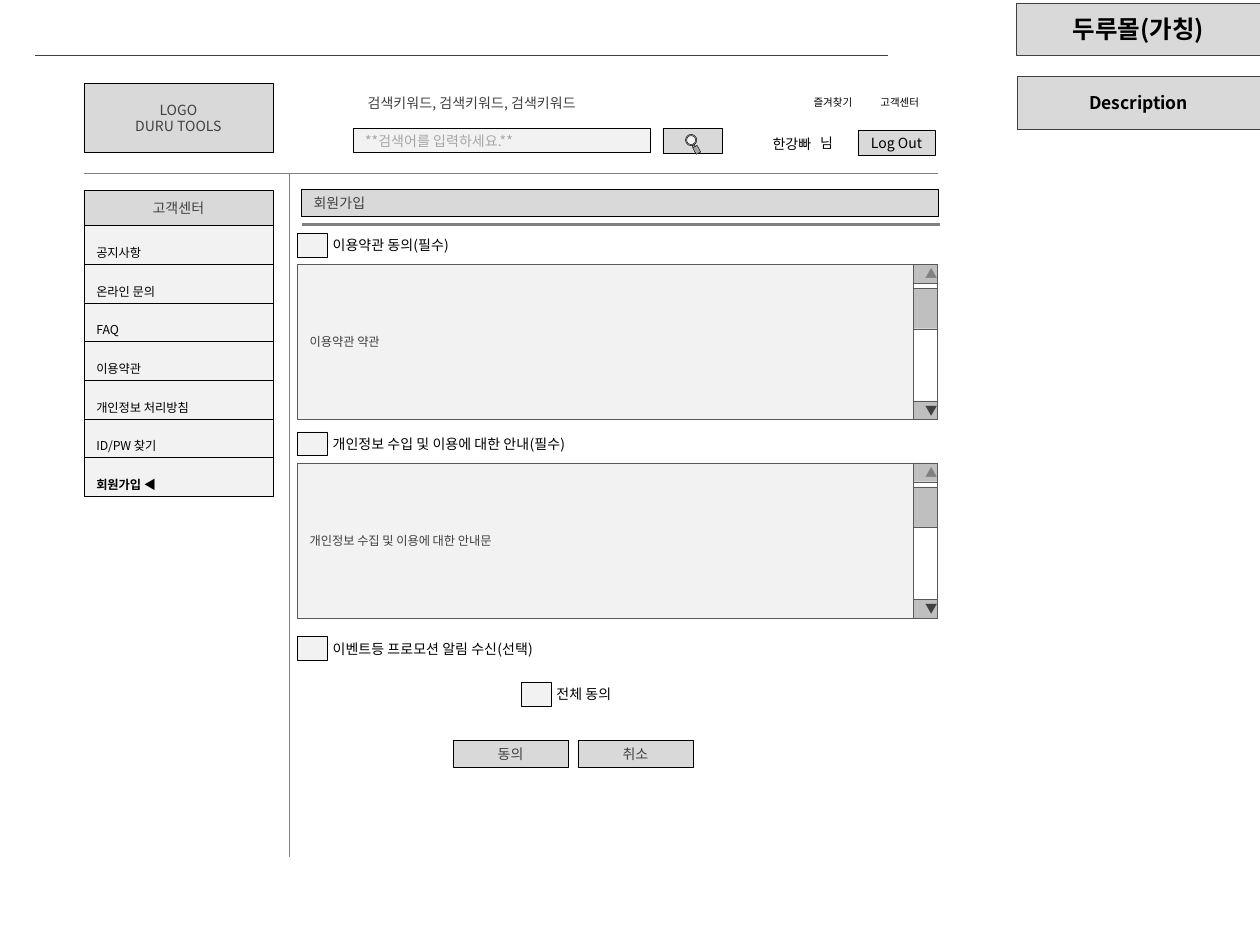
from dataclasses import dataclass
from lxml.etree import SubElement
from pptx import Presentation
from pptx.dml.color import RGBColor
from pptx.enum.shapes import MSO_CONNECTOR, MSO_SHAPE
from pptx.enum.text import MSO_ANCHOR, MSO_AUTO_SIZE, PP_ALIGN
from pptx.oxml.ns import qn
from pptx.util import Pt


@dataclass(frozen=True)
class Theme:
    font: str = "Noto Sans CJK KR"
    black: str = "000000"
    dark: str = "404040"
    edge: str = "595959"
    gray: str = "808080"
    hint: str = "A6A6A6"
    bar: str = "BFBFBF"
    button: str = "D9D9D9"
    panel: str = "F2F2F2"
    white: str = "FFFFFF"
    banner: int = 14
    heading: int = 10
    body: int = 8
    small: int = 7
    tiny: int = 6
    hairline: float = 0.25


@dataclass(frozen=True)
class Box:
    left: float
    top: float
    width: float
    height: float

    def area(self, left, top, width, height):
        return Box(self.left + left, self.top + top, width, height)

    def lengths(self):
        return [Pt(round(value, 2)) for value in (self.left, self.top, self.width, self.height)]


theme = Theme()
deck = Presentation()
deck.slide_width, deck.slide_height = Pt(720), Pt(540)
page = deck.slides.add_slide(deck.slide_layouts[5])


def color(value):
    return RGBColor.from_string(value)


def fill_lines(frame, text, size, ink, align, bold, spacing=None):
    for index, line in enumerate(text.split("\n")):
        para = frame.add_paragraph() if index else frame.paragraphs[0]
        para.text = line
        para.alignment = align
        para.line_spacing = spacing
        para.font.name = theme.font
        SubElement(para._p.pPr.find(qn("a:defRPr")), qn("a:ea"), typeface=theme.font)
        para.font.size = Pt(size)
        para.font.bold = bold
        para.font.color.rgb = color(ink)


def write(frame, text, size=theme.body, ink=theme.dark, align=PP_ALIGN.LEFT,
          bold=False, spacing=None, inset=None, wrap=True, anchor=MSO_ANCHOR.MIDDLE):
    frame.word_wrap = wrap
    frame.auto_size = MSO_AUTO_SIZE.NONE
    frame.vertical_anchor = anchor
    if inset is not None:
        frame.margin_left = frame.margin_right = Pt(inset)
        frame.margin_top = frame.margin_bottom = Pt(inset)
    fill_lines(frame, text, size, ink, align, bold, spacing)


def paint(shape, fill, edge):
    shape.fill.solid()
    shape.fill.fore_color.rgb = color(fill)
    shape.line.color.rgb = color(edge)
    shape.line.width = Pt(theme.hairline)


def block(box, fill, text="", edge=theme.black, kind=MSO_SHAPE.RECTANGLE, shapes=page.shapes, **style):
    shape = shapes.add_shape(kind, *box.lengths())
    shape.shadow.inherit = False
    paint(shape, fill, edge)
    if text:
        write(shape.text_frame, text, **style)
    return shape


def label(box, text, **style):
    write(page.shapes.add_textbox(*box.lengths()).text_frame, text, **style)


def rule(left, top, right, bottom, ink=theme.gray, width=theme.hairline):
    ends = [Pt(round(value, 2)) for value in (left, top, right, bottom)]
    line = page.shapes.add_connector(MSO_CONNECTOR.STRAIGHT, *ends)
    line.line.color.rgb = color(ink)
    line.line.width = Pt(width)
    SubElement(line._element.spPr, qn("a:effectLst"))


def description_panel(box):
    style = dict(ink=theme.black, align=PP_ALIGN.CENTER, bold=True)
    block(box.area(0, 0, box.width, 30.2), theme.button, "두루몰(가칭)",
          edge=theme.dark, size=theme.banner, **style)
    frame = page.shapes.add_table(1, 1, *box.area(0, 41.8, box.width, 30.2).lengths())
    cell = frame.table.cell(0, 0)
    properties = cell._tc.get_or_add_tcPr()
    for side in ("lnL", "lnR", "lnT", "lnB"):
        border = SubElement(properties, qn("a:" + side), w=str(Pt(theme.hairline)))
        SubElement(SubElement(border, qn("a:solidFill")), qn("a:srgbClr"), val=theme.dark)
    cell.fill.solid()
    cell.fill.fore_color.rgb = color(theme.button)
    cell.vertical_anchor = MSO_ANCHOR.MIDDLE
    fill_lines(cell.text_frame, "Description", theme.heading, **style)


def search_button(box):
    group = page.shapes.add_group_shape().shapes
    block(box, theme.button, shapes=group)
    magnifier = [
        (MSO_SHAPE.OVAL, theme.hint, (13, 3.4, 6.5, 6.5)),
        (MSO_SHAPE.OVAL, theme.panel, (13.7, 4.1, 5.1, 5.1)),
        (MSO_SHAPE.RECTANGLE, theme.hint, (17.3, 9.4, 1.4, 2.2)),
        (MSO_SHAPE.RECTANGLE, theme.hint, (18, 10.1, 2.9, 4.3)),
    ]
    for kind, fill, place in magnifier:
        block(box.area(*place), fill, kind=kind, shapes=group).rotation = 332.1


def site_header(box):
    block(box.area(0, 0, 108, 39.6), theme.button, "LOGO\nDURU TOOLS", align=PP_ALIGN.CENTER)
    block(box.area(153.6, 25.9, 170, 13.9), theme.panel, "**검색어를 입력하세요.**", ink=theme.hint)
    search_button(box.area(330.7, 25.9, 34, 14.4))
    label(box.area(155, 2.9, 170, 17.3), "검색키워드, 검색키워드, 검색키워드", anchor=MSO_ANCHOR.TOP)
    label(box.area(376.1, 27.4, 39.6, 14.4), "한강빠", ink=theme.black, align=PP_ALIGN.RIGHT, inset=0)
    label(box.area(413.5, 25.9, 23, 17.3), "님", ink=theme.black, anchor=MSO_ANCHOR.TOP)
    block(box.area(442.3, 26.7, 44, 14.4), theme.button, "Log Out",
          ink=theme.black, align=PP_ALIGN.CENTER, inset=0)
    for index, text in enumerate(("즐겨찾기", "고객센터")):
        label(box.area(408.5 + 38.2 * index, 3.6, 38.9, 14.4), text, size=theme.tiny,
              ink=theme.black, align=PP_ALIGN.CENTER, wrap=False, anchor=MSO_ANCHOR.TOP)


def side_menu(box):
    block(box.area(0, 0, box.width, 20.2), theme.button, "고객센터", align=PP_ALIGN.CENTER)
    items = ("공지사항", "온라인 문의", "FAQ", "이용약관", "개인정보 처리방침", "ID/PW 찾기", "회원가입 ◀")
    for index, text in enumerate(items):
        block(box.area(0, 20.2 + 22.1 * index, box.width, 22.3), theme.panel, text, size=theme.small,
              ink=theme.black, spacing=2.0, bold=text == items[-1])


def check_row(box, text):
    label(box.area(20.2, 0, box.width - 20.2, 14.4), text, ink=theme.black, inset=0)
    block(box.area(0, 0.4, 17.3, 13.7), theme.panel)


def scroll_bar(box):
    block(box, theme.white, edge=theme.edge)
    for top, text, ink in ((0, "▲", theme.gray), (box.height - 10.8, "▼", theme.dark)):
        block(box.area(0, top, box.width, 10.8), theme.bar, text, edge=theme.edge,
              size=theme.small, ink=ink, align=PP_ALIGN.CENTER)
    block(box.area(0, 13.7, box.width, 23), theme.bar, edge=theme.edge)


def consent(box, text, terms):
    check_row(box.area(0, 0, 180, 14.4), text)
    panel = box.area(0, 18.2, box.width, 88.6)
    block(panel, theme.panel, terms, edge=theme.edge, size=theme.small)
    scroll_bar(panel.area(box.width - 13.7, 0, 13.7, 88.6))


def sign_up(box):
    title = page.shapes.title
    title.left, title.top, title.width, title.height = box.area(2.1, 0, 364.3, 15.5).lengths()
    paint(title, theme.button, theme.black)
    write(title.text_frame, "회원가입")
    rule(box.left + 2.9, box.top + 20, box.left + 367.2, box.top + 20, width=1.5)
    consents = (("이용약관 동의(필수)", "이용약관 약관"),
                ("개인정보 수입 및 이용에 대한 안내(필수)", "개인정보 수집 및 이용에 대한 안내문"))
    for index, (text, terms) in enumerate(consents):
        consent(box.area(0, 24.8 + 113.3 * index, box.width, 106.8), text, terms)
    check_row(box.area(0, 255.2, 180, 14.4), "이벤트등 프로모션 알림 수신(선택)")
    check_row(box.area(127.9, 281.2, 180, 14.4), "전체 동의")
    for index, text in enumerate(("동의", "취소")):
        block(box.area(89.1 + 71.3 * index, 315, 65.7, 15.5), theme.button, text, align=PP_ALIGN.CENTER)


description_panel(Box(581, 1.6, 139, 72))
rule(20.2, 31.6, 507.5, 31.6, ink=theme.dark, width=0.75)
site_header(Box(48, 47.5, 488, 51))
rule(48, 98.9, 535.8, 98.9)
rule(165.5, 98.9, 165.5, 490)
side_menu(Box(48, 108.7, 108, 175))
sign_up(Box(169.9, 108.2, 365.8, 331))
deck.save("out.pptx")
